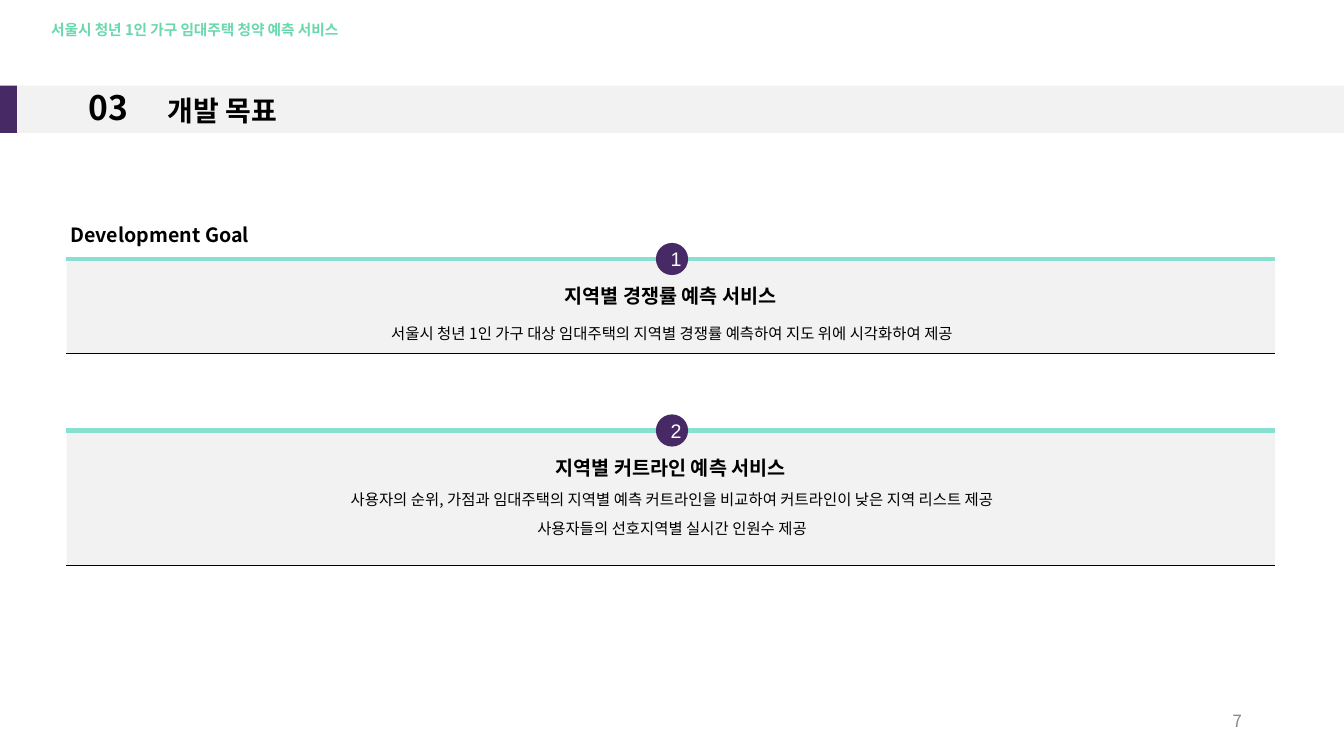
from lxml.etree import SubElement
from pptx import Presentation
from pptx.dml.color import RGBColor
from pptx.enum.shapes import MSO_CONNECTOR, MSO_SHAPE
from pptx.enum.text import MSO_ANCHOR, MSO_AUTO_SIZE, PP_ALIGN
from pptx.oxml.ns import qn
from pptx.util import Pt

SANS = "Noto Sans CJK KR"
PURPLE, MINT, GREY = "462965", "88E0D0", "F2F2F2"
SLIDE_WIDTH, SLIDE_HEIGHT = 960, 540
DISC = 23

GOALS = [
    dict(top=185, height=67.5, heading="지역별 경쟁률 예측 서비스", first_line=43.2,
         details=["서울시 청년 1인 가구 대상 임대주택의 지역별 경쟁률 예측하여 지도 위에 시각화하여 제공"]),
    dict(top=307.5, height=96.5, heading="지역별 커트라인 예측 서비스", first_line=38.9,
         details=["사용자의 순위, 가점과 임대주택의 지역별 예측 커트라인을 비교하여 커트라인이 낮은 지역 리스트 제공",
                  "사용자들의 선호지역별 실시간 인원수 제공"]),
]


def colour(hex_value):
    return RGBColor.from_string(hex_value)


def write(shape, text, size, bold=False, ink="000000", align=PP_ALIGN.LEFT,
          anchor=MSO_ANCHOR.TOP, font=SANS, inset=3.6, grow=True):
    frame = shape.text_frame
    frame_format = {
        "word_wrap": True,
        "vertical_anchor": anchor,
        "margin_left": Pt(7.2), "margin_right": Pt(7.2),
        "margin_top": Pt(inset), "margin_bottom": Pt(inset),
        "auto_size": MSO_AUTO_SIZE.SHAPE_TO_FIT_TEXT if grow else MSO_AUTO_SIZE.NONE,
    }
    for key, value in frame_format.items():
        setattr(frame, key, value)
    paragraph = frame.paragraphs[0]
    paragraph.alignment = align
    run = paragraph.add_run()
    run.text = text
    for key, value in {"size": Pt(size), "bold": bold, "name": font}.items():
        setattr(run.font, key, value)
    run.font.color.rgb = colour(ink)
    SubElement(run.font._element, qn("a:ea"), typeface=font)


def add_text(shapes, box, text, size, **style):
    write(shapes.add_textbox(*map(Pt, box)), text, size, **style)


def add_block(shapes, kind, box, fill):
    block = shapes.add_shape(kind, *map(Pt, box))
    block.shadow.inherit = False
    block.fill.solid()
    block.fill.fore_color.rgb = colour(fill)
    block.line.fill.background()
    return block


def add_rule(shapes, left, top, width, ink, weight):
    rule = shapes.add_connector(
        MSO_CONNECTOR.STRAIGHT, Pt(left), Pt(top), Pt(left + width), Pt(top))
    rule.line.color.rgb = colour(ink)
    rule.line.width = Pt(weight)
    SubElement(rule._element.spPr, qn("a:effectLst"))


def add_header(slide, left, top, width, height):
    """Section band with its number and the slide title."""
    shapes = slide.shapes
    add_block(shapes, MSO_SHAPE.RECTANGLE, (left, top, width, height), GREY)
    add_block(shapes, MSO_SHAPE.RECTANGLE, (left, top, 12.2, height), PURPLE)
    add_text(shapes, (left + 43.2, top - 2.9, 69, 36), "03", 24,
             bold=True, align=PP_ALIGN.CENTER)
    title = shapes.title
    place = {"left": 112.3, "top": top + 2.2, "width": 287.3, "height": 31.7}
    for key, value in place.items():
        setattr(title, key, Pt(value))
    write(title, "개발 목표", 20, bold=True)
    # The title placeholder comes first, so bring it in front of the band.
    title.element.getparent().append(title.element)


def add_goal(slide, number, left, width, top, height, heading, first_line, details):
    panel = slide.shapes.add_group_shape().shapes
    add_rule(panel, left, top, width, MINT, 3)
    add_block(panel, MSO_SHAPE.RECTANGLE, (left, top + 1.8, width, height - 1.8), GREY)
    add_rule(panel, left, top + height, width, "000000", 0.75)
    disc = add_block(panel, MSO_SHAPE.OVAL,
                     (SLIDE_WIDTH / 2 - DISC / 2, top - DISC / 2, DISC, DISC), PURPLE)
    write(disc, str(number), 14, ink="FFFFFF", font="Arial", align=PP_ALIGN.CENTER,
          anchor=MSO_ANCHOR.MIDDLE, grow=False)

    middle = left + width / 2
    add_text(slide.shapes, (middle - 225.7, top + 14.4, 451.4, 24.5), heading, 14,
             bold=True, align=PP_ALIGN.CENTER)
    for row, detail in enumerate(details):
        add_text(slide.shapes, (middle - 308.6, top + first_line + row * 20.9, 619.2, 20.9),
                 detail, 11, align=PP_ALIGN.CENTER)


def main():
    deck = Presentation()
    deck.slide_width, deck.slide_height = Pt(SLIDE_WIDTH), Pt(SLIDE_HEIGHT)
    slide = deck.slides.add_slide(deck.slide_layouts[5])
    add_header(slide, 0, 61.2, SLIDE_WIDTH, 33.8)
    add_text(slide.shapes, (29.5, 8.6, 511.2, 27.4),
             "서울시 청년 1인 가구 임대주택 청약 예측 서비스", 10.5,
             bold=True, ink="69D8AD", inset=7.2)
    add_text(slide.shapes, (43.2, 155.5, 285.8, 24.5), "Development Goal", 14,
             bold=True, anchor=MSO_ANCHOR.MIDDLE)
    for number, goal in enumerate(GOALS, 1):
        add_goal(slide, number, 47.5, 863.3, **goal)
    add_text(slide.shapes, (678.2, 500.4, 216, 28.8), "7", 12, ink="888888",
             align=PP_ALIGN.RIGHT, anchor=MSO_ANCHOR.MIDDLE, grow=False)
    deck.save("out.pptx")


if __name__ == "__main__":
    main()
